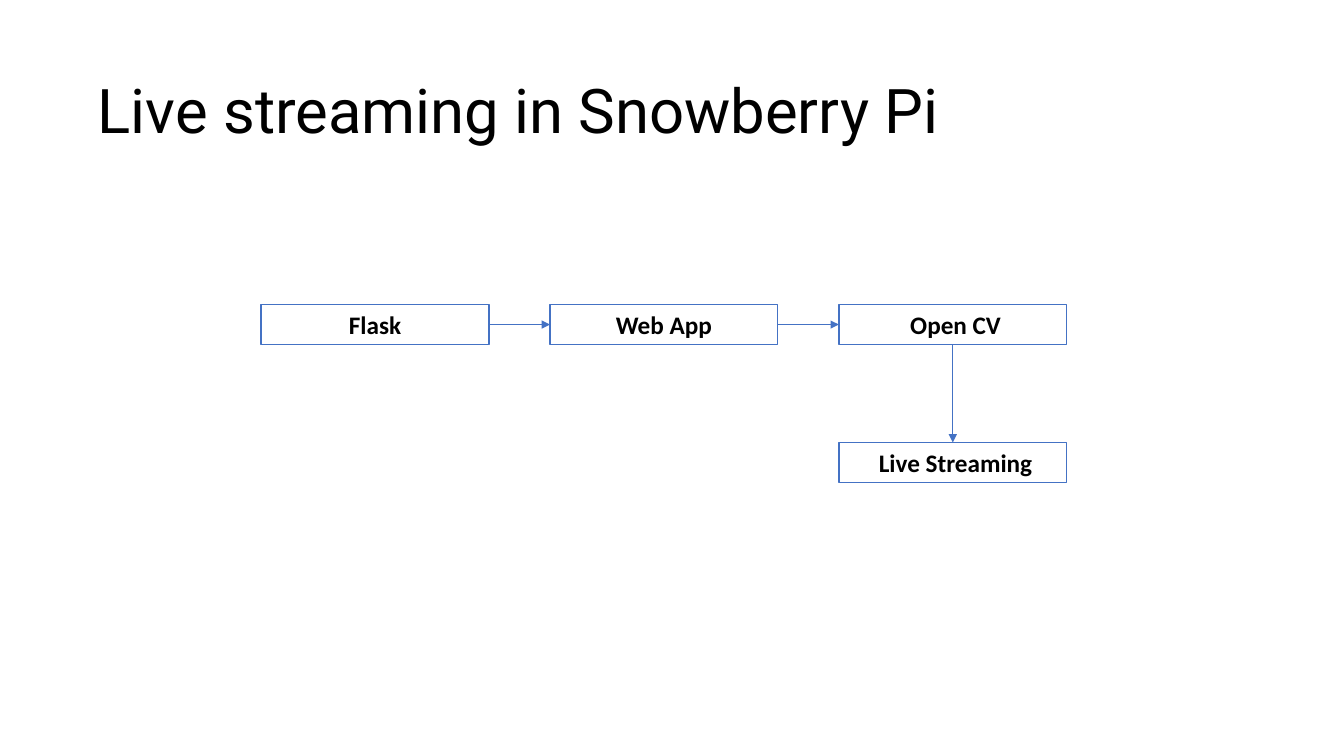
from lxml.etree import SubElement
from pptx import Presentation
from pptx.dml.color import RGBColor
from pptx.enum.shapes import MSO_CONNECTOR as Connector, MSO_SHAPE as Shape
from pptx.enum.text import MSO_ANCHOR as Anchor, PP_ALIGN as Align
from pptx.oxml.ns import qn
from pptx.util import Emu, Pt

PX = 9144  # 100 px to the inch
BLUE, BLACK, WHITE = "4472C4", "000000", "FFFFFF"
STEP_WIDTH, STEP_HEIGHT = 226, 40
TOP, LEFT, BOTTOM, RIGHT = range(4)  # connection sites of a rectangle


def px(length):
    return Emu(round(length * PX))


def color(hex_text):
    return RGBColor.from_string(hex_text)


def write(shape, text, font, size, bold=False, align=Align.LEFT, spacing=1.0):
    frame = shape.text_frame
    frame.word_wrap = True
    frame.vertical_anchor = Anchor.MIDDLE
    frame.margin_left = frame.margin_right = px(5)
    frame.margin_top = frame.margin_bottom = px(5)
    para = frame.paragraphs[0]
    para.alignment = align
    para.line_spacing = spacing
    span = para.add_run()
    span.text = text
    span.font.name = font
    span.font.size = Pt(size)
    span.font.bold = bold
    span.font.color.rgb = color(BLACK)


def add_title(page, left, top, width, height):
    box = page.shapes.add_textbox(px(left), px(top), px(width), px(height))
    write(box, "Live streaming in Snowberry Pi", "Roboto", 44, spacing=0.9)


def add_step(page, text, left, top):
    box = page.shapes.add_shape(Shape.RECTANGLE, px(left), px(top),
                                px(STEP_WIDTH), px(STEP_HEIGHT))
    box.shadow.inherit = False
    box.fill.solid()
    box.fill.fore_color.rgb = color(WHITE)
    box.line.color.rgb = color(BLUE)
    box.line.width = Pt(1)
    write(box, text, "Calibri", 18, bold=True, align=Align.CENTER)
    return box


def add_arrow(page, source, source_site, target, target_site):
    arrow = page.shapes.add_connector(Connector.STRAIGHT, 0, 0, 0, 0)
    arrow.begin_connect(source, source_site)
    arrow.end_connect(target, target_site)
    arrow.line.color.rgb = color(BLUE)
    arrow.line.width = Pt(1)
    SubElement(arrow.line._get_or_add_ln(), qn("a:tailEnd"), type="triangle")
    SubElement(arrow._element.spPr, qn("a:effectLst"))


def add_flow(page, left, top, width, height):
    """Three steps in a row, and the last one under the row's right end."""
    names = ["Flask", "Web App", " Open CV"]
    pitch = (width - STEP_WIDTH) / (len(names) - 1)
    row = [add_step(page, name, left + column * pitch, top)
           for column, name in enumerate(names)]
    result = add_step(page, " Live Streaming", left + width - STEP_WIDTH,
                      top + height - STEP_HEIGHT)
    for source, target in zip(row, row[1:]):
        add_arrow(page, source, RIGHT, target, LEFT)
    add_arrow(page, row[-1], BOTTOM, result, TOP)


def main():
    deck = Presentation()
    deck.slide_width, deck.slide_height = px(1333), px(750)
    page = deck.slides.add_slide(deck.slide_layouts[6])
    add_title(page, 92, 40, 1150, 145)
    add_flow(page, 259, 302, 799, 177)
    deck.save("out.pptx")


if __name__ == "__main__":
    main()
